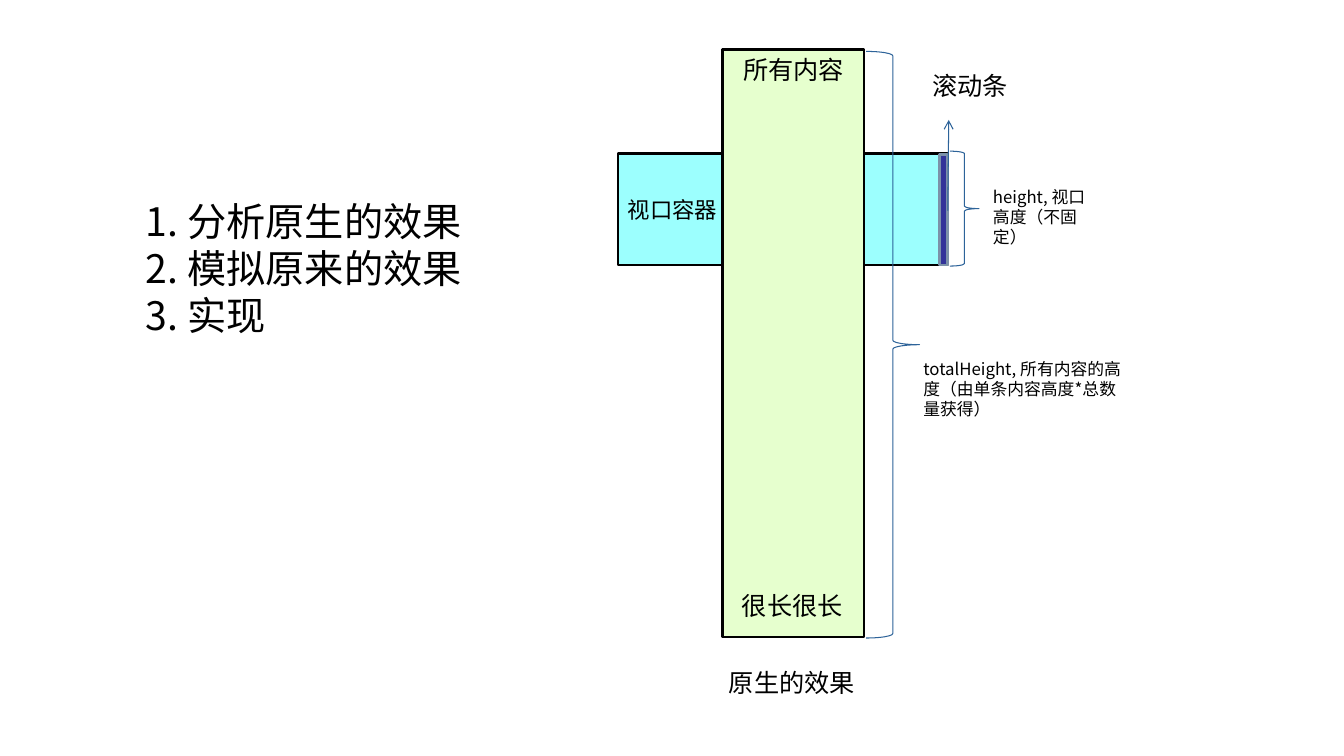
"""Build the slide on native scrolling: a viewport, its long content and its scrollbar."""
from lxml.etree import SubElement
from pptx import Presentation
from pptx.dml.color import RGBColor
from pptx.enum.shapes import MSO_CONNECTOR, MSO_SHAPE as SHAPE
from pptx.enum.text import MSO_ANCHOR as ANCHOR, MSO_AUTO_SIZE as FIT, PP_ALIGN as ALIGN
from pptx.oxml.ns import qn
from pptx.util import Inches, Pt

BLACK = RGBColor(0x00, 0x00, 0x00)
CYAN = RGBColor(0x9C, 0xFF, 0xFE)
GREEN = RGBColor(0xE6, 0xFF, 0xCE)
INDIGO = RGBColor(0x33, 0x33, 0x99)
GREY = RGBColor(0x7C, 0x92, 0xA9)
BLUE = RGBColor(0x2D, 0x63, 0x99)
CJK = "Noto Sans CJK SC"

VIEWPORT = (6.13, 1.52, 3.27, 1.11)
CONTENT = (7.17, 0.49, 1.4, 5.83)
SCROLLBAR = (9.32, 1.53, 0.08, 1.1)
VIEW_BRACE = (9.42, 1.5, 0.29, 1.14)
TOTAL_BRACE = (8.59, 0.51, 0.53, 5.82)
ARROW = (9.4, 2.09, 9.41, 1.19)

STEPS = ["1. 分析原生的效果", "2. 模拟原来的效果", "3. 实现"]
LABELS = [
    ((1.35, 1.91, 3.97, 1.53), STEPS, 28, CJK, True),
    ((9.75, 1.8, 1.22, 0.51), ["height, 视口高度（不固定）"], 12, CJK, True),
    ((9.06, 3.51, 2.18, 0.71), ["totalHeight, 所有内容的高度（由单条内容高度*总数量获得）"], 12, CJK, True),
    ((7.26, 5.81, 1.2, 0.4), ["很长很长"], 18, "Arial", False),
    ((9.15, 0.65, 0.95, 0.42), ["滚动条"], 18, CJK, False),
    ((7.13, 6.57, 1.45, 0.42), ["原生的效果"], 18, CJK, False),
]


def write(tf, lines, size, font=CJK, align=ALIGN.LEFT):
    for i, line in enumerate(lines):
        p = tf.paragraphs[0] if i == 0 else tf.add_paragraph()
        p.alignment = align
        r = p.add_run()
        r.text = line
        for name, value in {"size": Pt(size), "name": font}.items():
            setattr(r.font, name, value)
        r.font.color.rgb = BLACK
        SubElement(r.font._element, qn("a:ea")).set("typeface", CJK)


def add_shape(kind, box, line, width, fill=None):
    sp = s.shapes.add_shape(kind, *map(Inches, box))
    sp.shadow.inherit = False
    sp.line.color.rgb = line
    sp.line.width = Pt(width)
    if fill is None:
        sp.fill.background()
    else:
        sp.fill.solid()
        sp.fill.fore_color.rgb = fill
    return sp


def add_label(box, lines, size, font, wrap):
    tf = s.shapes.add_textbox(*map(Inches, box)).text_frame
    for name, value in {"word_wrap": wrap, "auto_size": FIT.SHAPE_TO_FIT_TEXT}.items():
        setattr(tf, name, value)
    write(tf, lines, size, font)


def add_arrow(ends):
    c = s.shapes.add_connector(MSO_CONNECTOR.STRAIGHT, *map(Inches, ends))
    c.line.color.rgb = BLUE
    c.line.width = Pt(0.75)
    SubElement(c.line._get_or_add_ln(), qn("a:tailEnd")).set("type", "arrow")
    SubElement(c._element.spPr, qn("a:effectLst"))


prs = Presentation()
prs.slide_width, prs.slide_height = Inches(13.33), Inches(7.5)
s = prs.slides.add_slide(prs.slide_layouts[6])

for box, fill, text, anchor, size, align in [
    (VIEWPORT, CYAN, "视口容器", ANCHOR.MIDDLE, 16, ALIGN.LEFT),
    (CONTENT, GREEN, "所有内容", ANCHOR.TOP, 18, ALIGN.CENTER),
]:
    tf = add_shape(SHAPE.RECTANGLE, box, BLACK, 2, fill).text_frame
    tf.vertical_anchor = anchor
    write(tf, [text], size, align=align)

for box in (VIEW_BRACE, TOTAL_BRACE):
    add_shape(SHAPE.RIGHT_BRACE, box, BLUE, 0.75)
add_shape(SHAPE.RECTANGLE, SCROLLBAR, GREY, 2, INDIGO)
add_arrow(ARROW)

for label in LABELS:
    add_label(*label)

prs.save("out.pptx")
